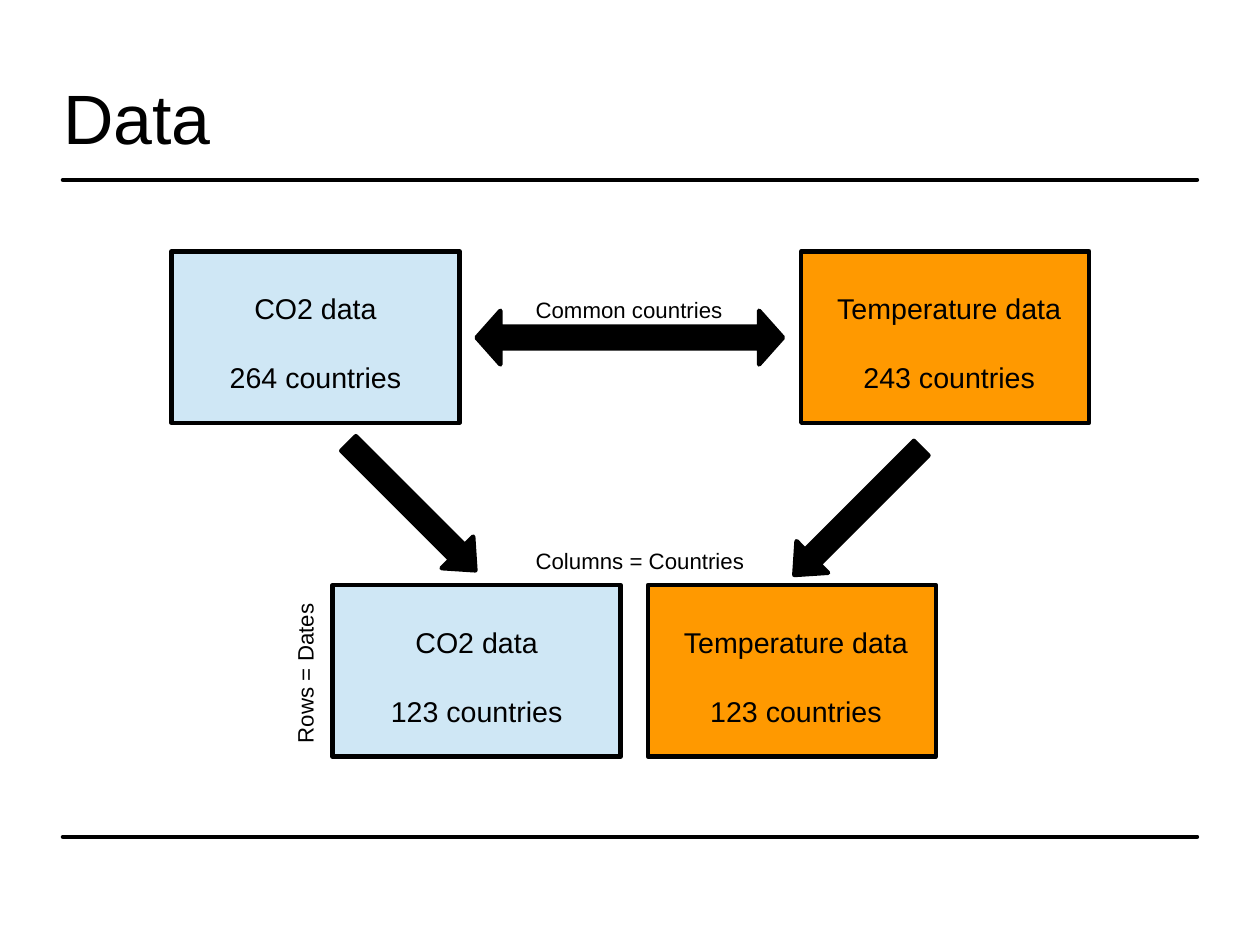
"""Build a slide showing how CO2 and temperature data are joined on common countries."""
from pptx import Presentation
from pptx.dml.color import RGBColor
from pptx.enum.shapes import MSO_CONNECTOR as Connector, MSO_SHAPE as Shape
from pptx.enum.text import MSO_ANCHOR as Anchor, PP_ALIGN as Align
from pptx.oxml.ns import qn
from pptx.util import Pt
from lxml.etree import SubElement

THEME = {
    "font": "Arial",
    "ink": RGBColor.from_string("000000"),
    "co2": RGBColor.from_string("CFE7F5"),
    "temperature": RGBColor.from_string("FF9900"),
    "title": Pt(44), "body": Pt(18), "label": Pt(14), "line": Pt(2.83),
}
SLIDE_SIZE = (793.7, 595.28)
MARGIN = 39.7
RULE_TOPS = (113.3, 527.2)
TITLE = ("Data", (MARGIN, 23.8, 714.3, 99.4))
BOX_SIZE = (181.4, 108)
LINE_GAP = 22
BOXES = [
    ("co2", ("CO2 data", "264 countries"), (108, 158.4), 0),
    ("temperature", ("Temperature data", "243 countries"), (504.7, 158.4), 5),
    ("co2", ("CO2 data", "123 countries"), (209.5, 368.6), 0),
    ("temperature", ("Temperature data", "123 countries"), (408.2, 368.6), 5),
]
DOWN_ARROW = (113, 28.1)
DOWN_ADJUSTMENTS = (0.463, 0.57)
ARROWS = [
    (Shape.LEFT_RIGHT_ARROW, (300.2, 195.8, 193, 33.8), 0, (0.406, 0.445)),
    (Shape.RIGHT_ARROW, (203, 305.3, *DOWN_ARROW), 45, DOWN_ADJUSTMENTS),
    (Shape.RIGHT_ARROW, (483.8, 308.2, *DOWN_ARROW), 135, DOWN_ADJUSTMENTS),
]
LABELS = [
    ("Common countries", (328.8, 181.4, 134.6, 25.9), 0),
    ("Columns = Countries", (328.8, 340, 148.3, 25.9), 0),
    ("Rows = Dates", (137.5, 409.7, 108, 25.9), 270),
]


def points(values):
    return [Pt(value) for value in values]


def apply_format(target, values):
    for name, value in values.items():
        setattr(target, name, value)


def write(shape, lines, size, align, insets, anchor):
    frame = shape.text_frame
    names = ("margin_left", "margin_top", "margin_right", "margin_bottom")
    apply_format(frame, dict(zip(names, points(insets))))
    apply_format(frame, {"word_wrap": True, "vertical_anchor": anchor})
    for index, line in enumerate(lines):
        paragraph = frame.add_paragraph() if index else frame.paragraphs[0]
        paragraph.text = line
        paragraph.alignment = align
        if index:
            paragraph.space_before = Pt(LINE_GAP)
        apply_format(paragraph.font, {"name": THEME["font"], "size": THEME[size]})
        paragraph.font.color.rgb = THEME["ink"]


def draw_line(line):
    line.color.rgb = THEME["ink"]
    line.width = THEME["line"]


def add_filled(slide, kind, frame, color):
    shape = slide.shapes.add_shape(kind, *points(frame))
    shape.shadow.inherit = False
    shape.fill.solid()
    shape.fill.fore_color.rgb = THEME[color]
    draw_line(shape.line)
    return shape


def add_rule(slide, top):
    ends = points((MARGIN, top, SLIDE_SIZE[0] - MARGIN, top))
    rule = slide.shapes.add_connector(Connector.STRAIGHT, *ends)
    draw_line(rule.line)
    properties = rule._element.spPr
    properties.find(qn("a:ln")).set("cap", "rnd")
    SubElement(properties, qn("a:effectLst"))


def main():
    presentation = Presentation()
    presentation.slide_width, presentation.slide_height = points(SLIDE_SIZE)
    slide = presentation.slides.add_slide(presentation.slide_layouts[6])

    title, title_frame = TITLE
    title_box = slide.shapes.add_textbox(*points(title_frame))
    write(title_box, [title], "title", Align.LEFT, (0, 0, 0, 0), Anchor.MIDDLE)
    for top in RULE_TOPS:
        add_rule(slide, top)

    for color, lines, position, left_inset in BOXES:
        box = add_filled(slide, Shape.RECTANGLE, (*position, *BOX_SIZE), color)
        write(box, lines, "body", Align.CENTER, (left_inset, 7, 0, 0), Anchor.MIDDLE)

    for kind, frame, rotation, adjustments in ARROWS:
        arrow = add_filled(slide, kind, frame, "ink")
        arrow.rotation = rotation
        for index, value in enumerate(adjustments):
            arrow.adjustments[index] = value

    for text, frame, rotation in LABELS:
        label = slide.shapes.add_textbox(*points(frame))
        label.rotation = rotation
        write(label, [text], "label", Align.LEFT, (8.6, 5, 0, 5), Anchor.TOP)

    presentation.save("out.pptx")


if __name__ == "__main__":
    main()
